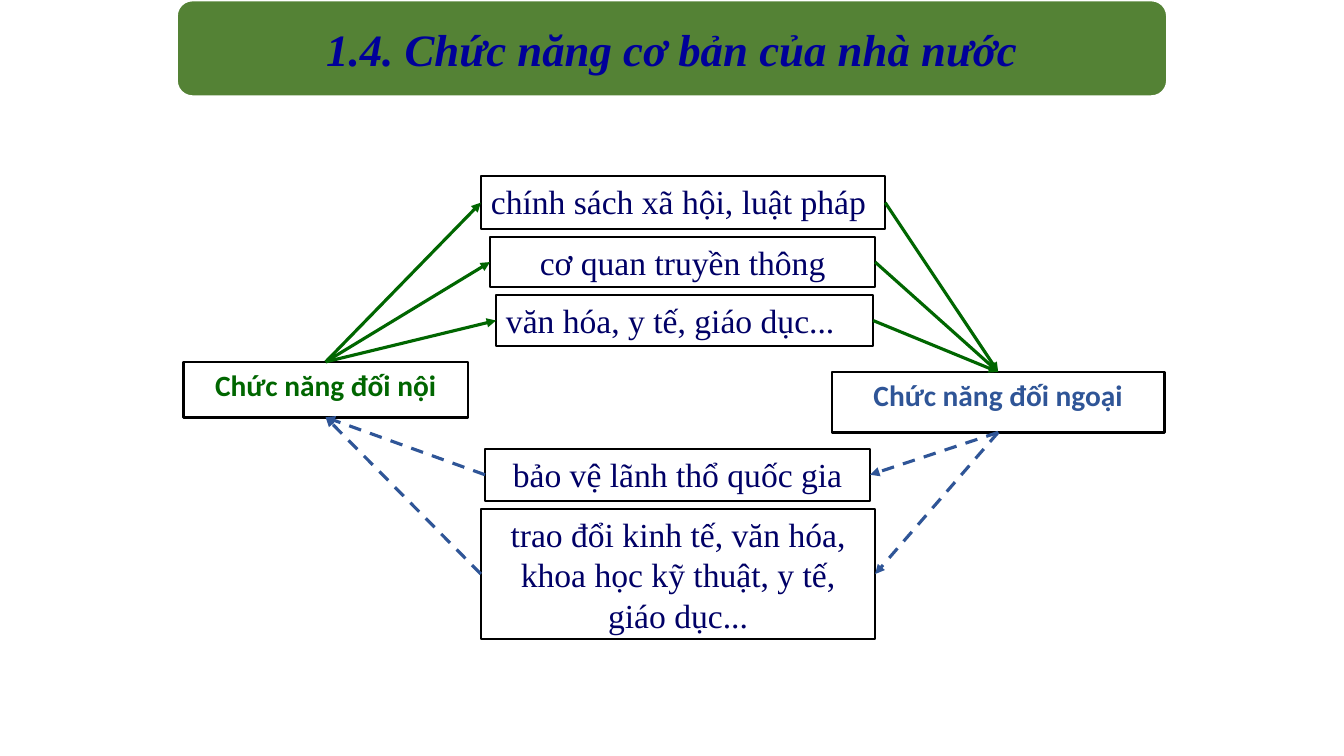
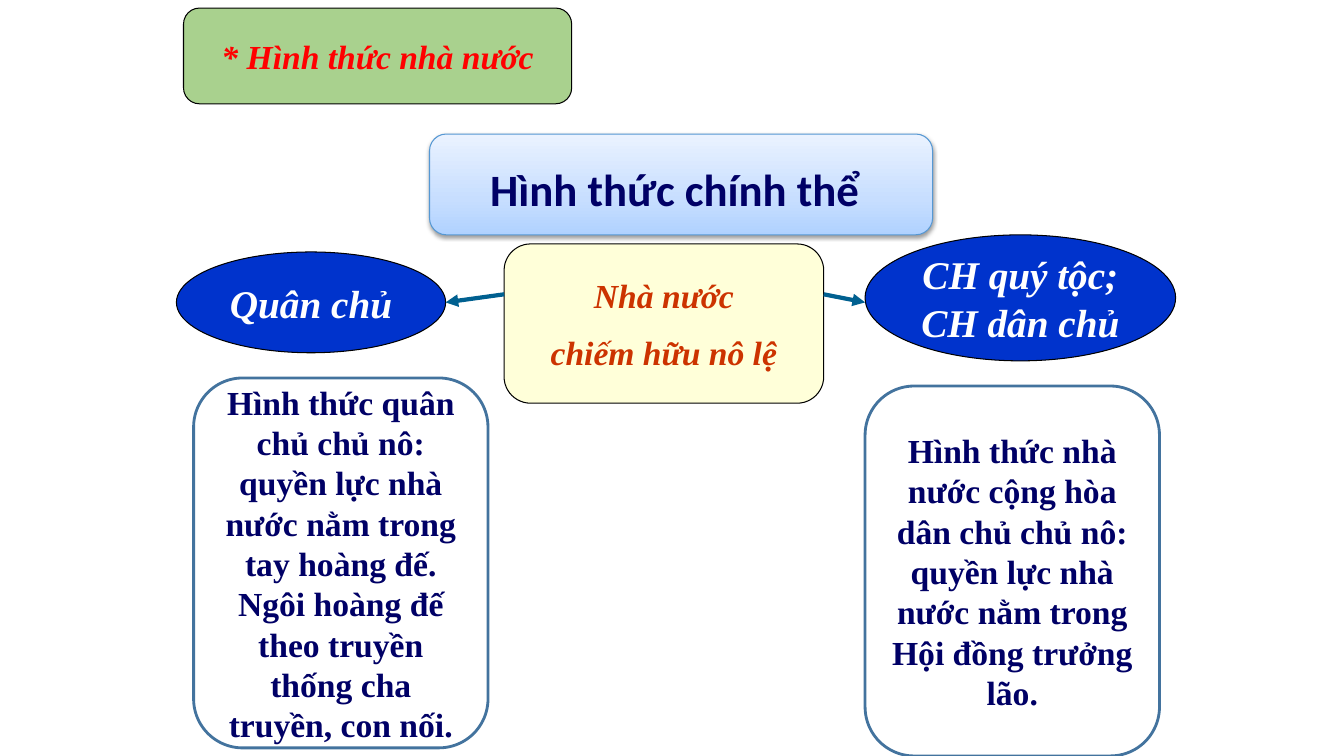
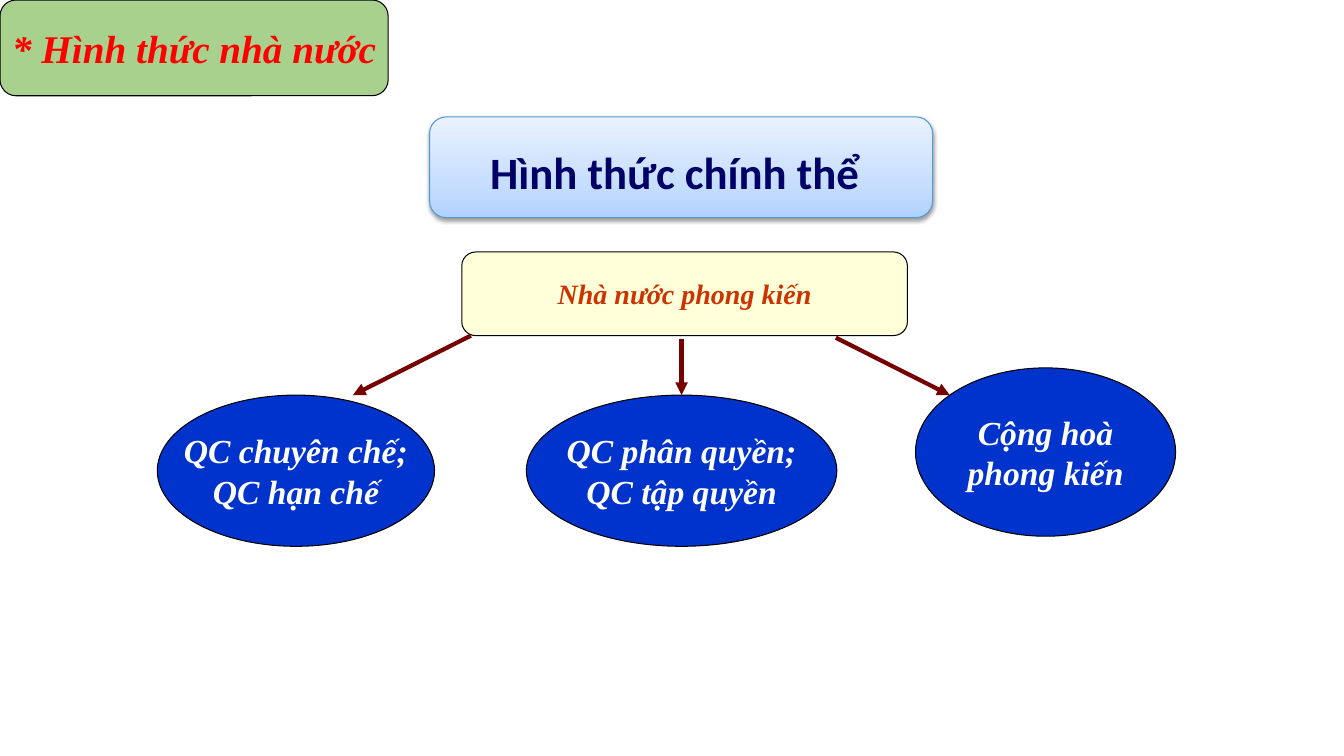
import pptx
import pptx.dml.color
import pptx.enum.dml
import pptx.enum.shapes
import pptx.enum.text
import pptx.oxml
import pptx.oxml.ns
import pptx.util
from lxml import etree

Inches, Pt = pptx.util.Inches, pptx.util.Pt
rgb = pptx.dml.color.RGBColor.from_string
qn, nsdecls = pptx.oxml.ns.qn, pptx.oxml.ns.nsdecls
SHAPE = pptx.enum.shapes.MSO_SHAPE
ALIGN = pptx.enum.text.PP_ALIGN
ANCHOR = pptx.enum.text.MSO_ANCHOR

SERIF, SANS = "Times New Roman", "Calibri"
BLACK, WHITE, NAVY = "000000", "FFFFFF", "000066"
GREEN, BLUE, TEAL, MAROON = "006600", "2F5597", "006090", "760000"
BAND, TAB, CREAM, OVAL = "548235", "A9D18E", "FFFFD9", "0033CC"
TOP, LEFT, BOTTOM, RIGHT = range(4)  # connection sites of a rectangle


def style(sp, lines, size, color, fill=None, line=BLACK, width=0.75, font=SERIF, bold=True,
          italic=False, align=ALIGN.CENTER, anchor=ANCHOR.MIDDLE, wrap=False, before=0):
    """Format a shape and write its lines; without a fill it has no outline either."""
    sp.shadow.inherit = False
    if fill:
        sp.fill.solid()
        sp.fill.fore_color.rgb = rgb(fill)
        sp.line.color.rgb = rgb(line)
        sp.line.width = Pt(width)
    tf = sp.text_frame
    tf.auto_size = pptx.enum.text.MSO_AUTO_SIZE.NONE
    tf.word_wrap = wrap
    tf.vertical_anchor = anchor
    for i, text in enumerate(lines):
        p = tf.add_paragraph() if i else tf.paragraphs[0]
        p.alignment = align
        if i:
            p.space_before = Pt(before)
        r = p.add_run()
        r.text = text
        r.font.name, r.font.size = font, Pt(size)
        r.font.bold, r.font.italic = bold, italic
        r.font.color.rgb = rgb(color)


def arrow(slide, ends, color, width, dashed=False):
    c = slide.shapes.add_connector(pptx.enum.shapes.MSO_CONNECTOR.STRAIGHT, *map(Inches, ends))
    c.line.color.rgb = rgb(color)
    c.line.width = Pt(width)
    if dashed:
        c.line.dash_style = pptx.enum.dml.MSO_LINE.DASH
    spPr = c.element.spPr
    etree.SubElement(spPr.find(qn("a:ln")), qn("a:tailEnd"), type="triangle")
    etree.SubElement(spPr, qn("a:effectLst"))
    return c


prs = pptx.Presentation()
prs.slide_width, prs.slide_height = Inches(13.33), Inches(7.5)

# Titles, each on a rounded band
titles = [
    ("1.4. Chức năng cơ bản của nhà nước", (1.75, 0, 9.83, 0.96), 32, "000099", BAND, WHITE, 2),
    ("* Hình thức nhà nước", (1.82, 0.08, 3.85, 0.95), 24, "FF0000", TAB, BLACK, 0.75),
    ("* Hình thức nhà nước", (0, 0, 3.85, 0.95), 28, "FF0000", TAB, BLACK, 0.75),
]
slides = []
for text, at, size, color, fill, line, width in titles:
    s = prs.slides.add_slide(prs.slide_layouts[5])
    band = s.shapes.add_shape(SHAPE.ROUNDED_RECTANGLE, *map(Inches, at))
    style(band, [], size, color, fill, line, width)
    title = s.shapes.title
    title.left, title.top, title.width, title.height = map(Inches, at)
    style(title, [text], size, color, italic=True)
    band.element.addnext(title.element)  # title in front of its band
    slides.append(s)
functions, slavery, feudal = slides

# Slide 1: functions of the state
boxes = {}
for name, text, at, color in [
    ("inner", "Chức năng đối nội", (1.82, 3.59, 2.82, 0.55), GREEN),
    ("outer", "Chức năng đối ngoại", (8.25, 3.69, 3.3, 0.6), BLUE),
]:
    sp = functions.shapes.add_shape(SHAPE.RECTANGLE, *map(Inches, at))
    style(sp, [text], 21, color, WHITE, width=1.75, font=SANS, anchor=ANCHOR.TOP, wrap=True)
    boxes[name] = sp

for name, text, at, align in [
    ("policy", "chính sách xã hội, luật pháp", (4.77, 1.75, 4.01, 0.52), ALIGN.LEFT),
    ("media", "cơ quan truyền thông", (4.86, 2.35, 3.82, 0.5), ALIGN.CENTER),
    ("culture", "văn hóa, y tế, giáo dục...", (4.92, 2.93, 3.74, 0.5), ALIGN.LEFT),
    ("defence", "bảo vệ lãnh thổ quốc gia", (4.81, 4.45, 3.82, 0.52), ALIGN.CENTER),
    ("exchange", "trao đổi kinh tế, văn hóa, khoa học kỹ thuật, y tế, giáo dục...",
     (4.77, 5.05, 3.91, 1.29), ALIGN.CENTER),
]:
    sp = functions.shapes.add_shape(SHAPE.RECTANGLE, *map(Inches, at))
    style(sp, [text], 24, NAVY, WHITE, width=1.5, bold=False, align=align,
          anchor=ANCHOR.TOP, wrap=True)
    boxes[name] = sp

links = []
for name in ("policy", "media", "culture"):
    links.append(("inner", TOP, name, LEFT, GREEN, False))
    links.append((name, RIGHT, "outer", TOP, GREEN, False))
for name in ("defence", "exchange"):
    links.append(("outer", BOTTOM, name, RIGHT, BLUE, True))
    links.append((name, LEFT, "inner", BOTTOM, BLUE, True))
for start, start_site, end, end_site, color, dashed in links:
    c = arrow(functions, (0, 0, 1, 1), color, 2.25, dashed)
    c.begin_connect(boxes[start], start_site)
    c.end_connect(boxes[end], end_site)

# Slides 2 and 3: heading with gradient and shadow
for s, top in [(slavery, 1.33), (feudal, 1.16)]:
    sp = s.shapes.add_shape(SHAPE.ROUNDED_RECTANGLE, *map(Inches, (4.26, top, 4.99, 1)))
    style(sp, ["Hình thức chính thể"], 32, NAVY, WHITE, "5698D3", font=SANS, wrap=True)
    sp.text_frame.margin_right = Inches(0.22)
    sp.text_frame.margin_top = Inches(0.14)
    spPr = sp.element.spPr
    stops = "".join(f'<a:gs pos="{pos * 1000}"><a:srgbClr val="{color}"/></a:gs>'
                    for pos, color in [(0, "B0D2FF"), (35, "C7DEFF"), (100, "EAF2FF")])
    spPr.replace(spPr.find(qn("a:solidFill")), pptx.oxml.parse_xml(
        f'<a:gradFill {nsdecls("a")} rotWithShape="1"><a:gsLst>{stops}</a:gsLst>'
        '<a:lin ang="16200000" scaled="0"/></a:gradFill>'))
    spPr.find(qn("a:effectLst")).append(pptx.oxml.parse_xml(
        f'<a:outerShdw {nsdecls("a")} blurRad="{Pt(3.1)}" dist="{Pt(1.6)}" dir="5400000" '
        'rotWithShape="0"><a:srgbClr val="000000"><a:alpha val="38000"/></a:srgbClr>'
        '</a:outerShdw>'))

# Slides 2 and 3: kind of state
for s, lines, at, size in [
    (slavery, ["Nhà nước", "chiếm hữu nô lệ"], (5, 2.42, 3.17, 1.58), 24),
    (feudal, ["Nhà nước phong kiến"], (4.58, 2.5, 4.42, 0.83), 20),
]:
    sp = s.shapes.add_shape(SHAPE.FLOWCHART_ALTERNATE_PROCESS, *map(Inches, at))
    style(sp, lines, size, "CC3300", CREAM, italic=True, before=size / 2)

# Slides 2 and 3: forms of government
for s, lines, at, size in [
    (slavery, ["Quân chủ"], (1.75, 2.5, 2.67, 1), 28),
    (slavery, ["CH quý tộc;", "CH dân chủ"], (8.58, 2.33, 3.08, 1.25), 28),
    (feudal, ["QC chuyên chế;", "QC hạn chế"], (1.56, 3.92, 2.75, 1.5), 24),
    (feudal, ["QC phân quyền;", "QC tập quyền"], (5.22, 3.92, 3.08, 1.5), 24),
    (feudal, ["Cộng hoà", "phong kiến"], (9.08, 3.65, 2.58, 1.67), 24),
]:
    sp = s.shapes.add_shape(SHAPE.OVAL, *map(Inches, at))
    style(sp, lines, size, WHITE, OVAL, italic=True)

for s, ends, color in [
    (slavery, (5, 2.92, 4.42, 3), TEAL),
    (slavery, (8.17, 2.92, 8.58, 3), TEAL),
    (feudal, (4.67, 3.33, 3.5, 3.92), MAROON),
    (feudal, (6.76, 3.36, 6.76, 3.92), MAROON),
    (feudal, (8.29, 3.35, 9.42, 3.92), MAROON),
]:
    arrow(s, ends, color, 3)

# Slide 2: explanations
for text, left, top in [
    ("Hình thức quân chủ chủ nô: quyền lực nhà nước nằm trong tay hoàng đế. "
     "Ngôi hoàng đế theo truyền thống cha truyền, con nối.", 1.92, 3.75),
    ("Hình thức nhà nước cộng hòa dân chủ chủ nô: quyền lực nhà nước nằm trong "
     "Hội đồng trưởng lão.", 8.58, 3.83),
]:
    sp = slavery.shapes.add_shape(SHAPE.ROUNDED_RECTANGLE, *map(Inches, (left, top, 2.92, 3.67)))
    style(sp, [text], 24, NAVY, WHITE, "43739E", 2, wrap=True)

prs.save("out.pptx")
